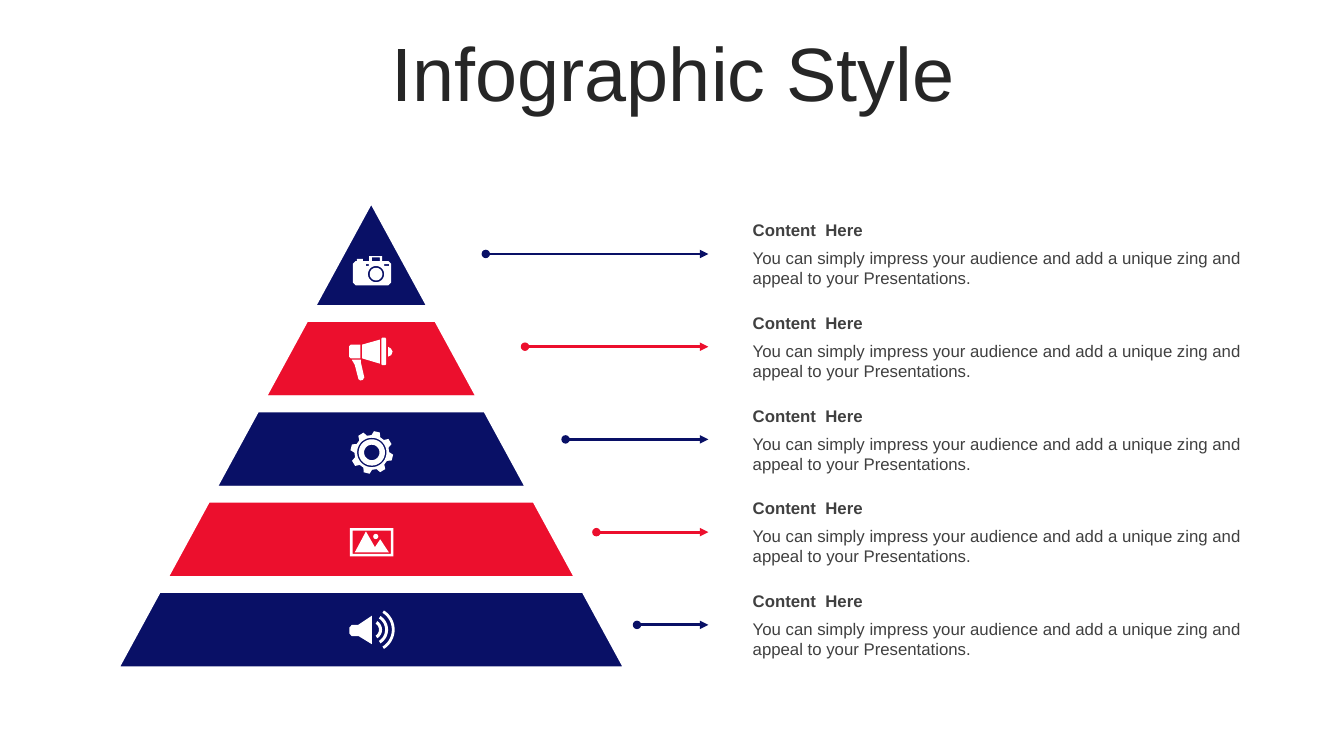
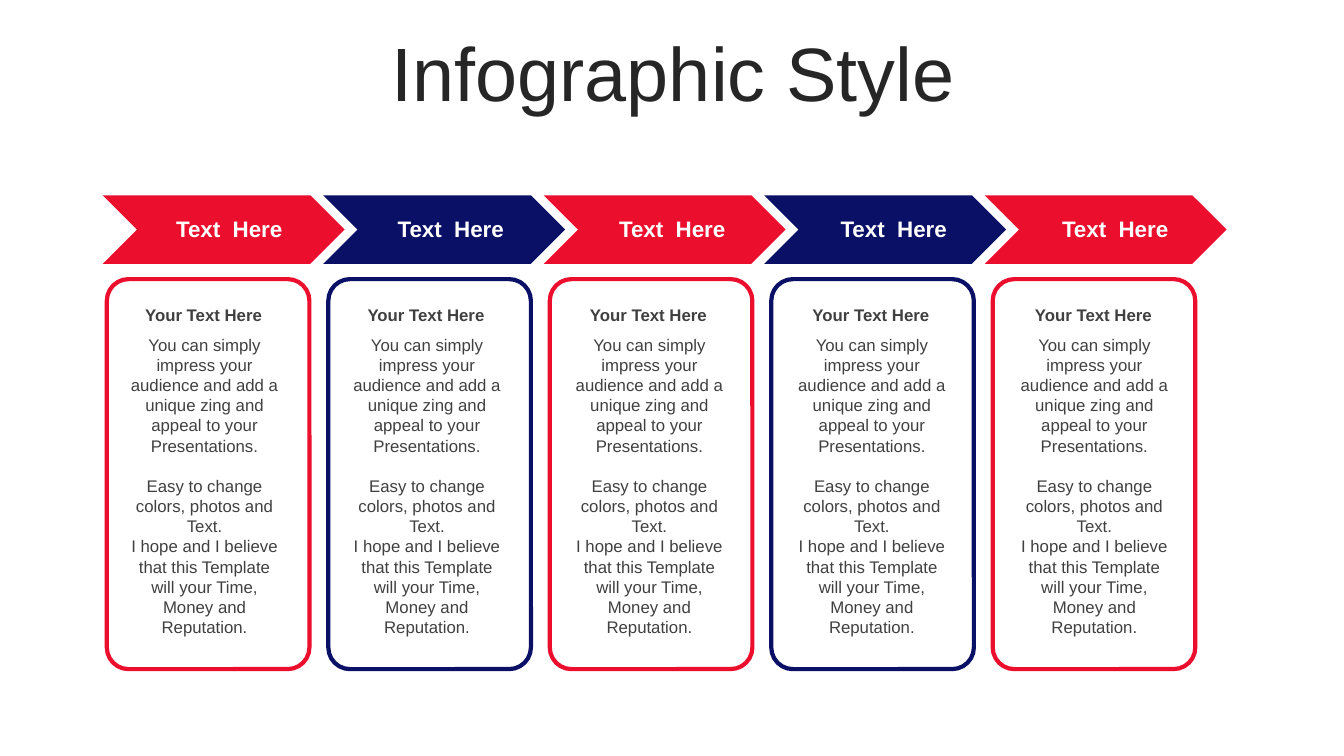
import math

import lxml.etree
import pptx
import pptx.dml.color
import pptx.enum.dml
import pptx.enum.shapes
import pptx.enum.text
import pptx.oxml.ns
import pptx.util

Pt = pptx.util.Pt
rgb = pptx.dml.color.RGBColor.from_string
qn = pptx.oxml.ns.qn
Shape = pptx.enum.shapes.MSO_SHAPE
Align = pptx.enum.text.PP_ALIGN
Anchor = pptx.enum.text.MSO_ANCHOR

FONT = "Arial"
NAVY, RED, WHITE = "091066", "EC0F2D", "FFFFFF"
TITLE_COLOUR, TEXT_COLOUR = "262626", "404040"
PITCH = "You can simply impress your audience and add a unique zing and appeal to your Presentations."


def style(shape, fill, line=None, width=0):
    shape.shadow.inherit = False
    shape.fill.solid()
    shape.fill.fore_color.rgb = rgb(fill)
    if line:
        shape.line.color.rgb = rgb(line)
        shape.line.width = Pt(width)
    else:
        shape.line.fill.background()


def write(page, place, lines, size=12, colour=TEXT_COLOUR, bold=False,
          align=Align.LEFT, anchor=Anchor.TOP):
    """Add a text box; each line is a pair of words and space before."""
    box = page.shapes.add_textbox(*map(Pt, place))
    frame = box.text_frame
    frame.word_wrap = True
    frame.vertical_anchor = anchor
    for index, (words, gap) in enumerate(lines):
        para = frame.paragraphs[0] if index == 0 else frame.add_paragraph()
        para.text = words
        para.alignment = align
        if gap:
            para.space_before = Pt(gap)
        para.font.name = FONT
        para.font.size = Pt(size)
        para.font.bold = bold
        para.font.color.rgb = rgb(colour)


deck = pptx.Presentation()
deck.slide_width, deck.slide_height = Pt(960), Pt(540)

# Pages with the shared title
pages = []
for _ in range(2):
    page = deck.slides.add_slide(deck.slide_layouts[5])
    title = page.shapes.title
    title.left, title.top, title.width, title.height = map(Pt, (25.2, 26.6, 911.5, 56.9))
    frame = title.text_frame
    frame.text = "Infographic Style"
    frame.auto_size = pptx.enum.text.MSO_AUTO_SIZE.NONE
    frame.vertical_anchor = Anchor.MIDDLE
    para = frame.paragraphs[0]
    para.alignment = Align.CENTER
    para.line_spacing = 0.9
    para.font.name = FONT
    para.font.size = Pt(54)
    para.font.color.rgb = rgb(TITLE_COLOUR)
    pages.append(page)
pyramid_page, process_page = pages

# Pyramid tiers, arrows and texts
APEX, CENTRE, SLOPE, TIER = 134, 265.2, 0.544, 64.5
ARROW_STARTS = [347, 375, 404, 426, 455]
for row, arrow_start in enumerate(ARROW_STARTS):
    colour = RED if row % 2 else NAVY
    bottom = APEX + 90 + row * TIER
    height = TIER if row else 90
    width = 2 * SLOPE * (bottom - APEX)
    tier = pyramid_page.shapes.add_shape(
        Shape.TRAPEZOID, Pt(CENTRE - width / 2), Pt(bottom - height), Pt(width), Pt(height))
    tier.adjustments[0] = SLOPE
    style(tier, colour, WHITE, 12)

    offset = row * 66.24
    arrow = pyramid_page.shapes.add_connector(
        pptx.enum.shapes.MSO_CONNECTOR.STRAIGHT,
        Pt(arrow_start), Pt(181.4 + offset), Pt(506), Pt(181.4 + offset))
    arrow.line.color.rgb = rgb(colour)
    arrow.line.width = Pt(2)
    outline = arrow.line._get_or_add_ln()
    lxml.etree.SubElement(outline, qn("a:headEnd"), type="oval")
    lxml.etree.SubElement(outline, qn("a:tailEnd"), type="triangle")
    lxml.etree.SubElement(arrow._element.spPr, qn("a:effectLst"))

    write(pyramid_page, (530.6, 153.4 + offset, 368, 21.6), [("Content  Here", 0)],
          bold=True, anchor=Anchor.MIDDLE)
    write(pyramid_page, (530.6, 173.5 + offset, 368, 36), [(PITCH, 0)])

# Icons: each contour is a list of points, or a circle as (x, y, radius)
camera = [
    [(252, 188.5), (254, 186.5), (255, 186.5), (255, 185), (259.2, 185), (259.2, 186.5),
     (263.7, 186.5), (263.7, 182.9), (273, 182.9), (273, 186.5), (277.4, 186.5),
     (279.4, 188.5), (279.4, 201.8), (277.4, 203.8), (254, 203.8), (252, 201.8)],
    [(265.7, 183.8), (271.4, 183.8), (271.4, 186.5), (265.7, 186.5)],
    [(261.4, 188.6), (263.5, 188.6), (263.5, 190), (261.4, 190)],
    [(274.3, 188.6), (277.9, 188.6), (277.9, 190), (274.3, 190)],
    (268.6, 195.8, 5.8),
    (268.6, 195.8, 4.5),
]
megaphone = [
    [(251.3, 257), (257.8, 257), (257.8, 259), (260.2, 269.5), (259.2, 271.4),
     (257.2, 271.8), (256, 270.7), (253.4, 260.6)],
    [(250.6, 246.2), (257.5, 246.2), (257.5, 256), (250.6, 256), (249.3, 254.8), (249.3, 247.5)],
    [(258.6, 246.2), (271.4, 242.6), (271.4, 259.8), (258.6, 256)],
    [(273, 241.2), (275.2, 241.2), (275.8, 242), (275.8, 260.2), (275.2, 260.8),
     (273, 260.8), (272.4, 260.2), (272.4, 242)],
    [(277.2, 247.8), (279.3, 249), (280.4, 251.2), (279.5, 253.6), (277.2, 254.8)],
]
gear_x, gear_y = 265.6, 323.2
gear = [
    [(gear_x + radius * math.cos(math.radians(45 * tooth - 76 + turn)),
      gear_y + radius * math.sin(math.radians(45 * tooth - 76 + turn)))
     for tooth in range(8)
     for radius, turn in ((12.4, -15), (15.3, -8), (15.3, 8), (12.4, 15))],
    (gear_x, gear_y, 10.5),
    (gear_x, gear_y, 9.4),
    (gear_x, gear_y, 5.5),
]
photo = [
    [(249.9, 377.2), (281, 377.2), (281, 397.4), (249.9, 397.4)],
    [(251.8, 379), (279.2, 379), (279.2, 395.7), (251.8, 395.7)],
    [(253.4, 394.6), (261.4, 379.6), (267.8, 390.8), (271.6, 385.2), (277.8, 394.6)],
    (268.4, 383.2, 1.8),
]
speaker = [
    [(251.3, 446.4), (255.8, 446.4), (265.7, 439.8), (265.7, 460.2), (256.2, 454.4),
     (251.3, 454.4), (249.6, 452.6), (249.6, 448.2)],
] + [
    [(265.7 + radius * math.cos(math.radians(angle)),
      449.8 + radius * math.sin(math.radians(angle)))
     for radius, angles in ((outer, range(-58, 59, 4)), (inner, range(58, -59, -4)))
     for angle in angles]
    for inner, outer in ((5, 7.2), (9.4, 11.5), (14.2, 16.2))
]
for icon in (camera, megaphone, gear, photo, speaker):
    builder = None
    for contour in icon:
        if isinstance(contour, tuple):
            x, y, radius = contour
            contour = [(x + radius * math.cos(math.radians(angle)),
                        y + radius * math.sin(math.radians(angle)))
                       for angle in range(0, 360, 10)]
        points = [(Pt(x), Pt(y)) for x, y in contour]
        if builder is None:
            builder = pyramid_page.shapes.build_freeform(*points[0])
        else:
            builder.move_to(*points[0])
        builder.add_line_segments(points[1:], close=True)
    style(builder.convert_to_shape(), WHITE)

# Process columns: chevron, label and card
card_lines = [
    (PITCH, 0),
    ("Easy to change colors, photos and Text.", 14.4),
    ("I hope and I believe that this Template will your Time, Money and Reputation.", 0),
]
for column in range(5):
    colour = NAVY if column % 2 else RED
    chevron = process_page.shapes.add_shape(
        Shape.CHEVRON, Pt(73.4 + column * 157.5), Pt(139.5), Pt(172.8), Pt(49))
    style(chevron, colour)
    card_offset = column * 158.2
    card = process_page.shapes.add_shape(
        Shape.ROUNDED_RECTANGLE, Pt(76.3 + card_offset), Pt(199.4), Pt(144.7), Pt(278.6))
    card.adjustments[0] = 0.107
    style(card, WHITE, colour, 3)
    write(process_page, (96.5 + card_offset, 150.5, 134.6, 26.6), [("Text  Here", 0)],
          size=16, colour=WHITE, bold=True, align=Align.CENTER)
    text_left = 82.8 + column * 158.9
    write(process_page, (text_left, 213.8, 125.3, 21.6), [("Your Text Here", 0)],
          bold=True, align=Align.CENTER)
    write(process_page, (text_left, 235.4, 126.7, 225.4), card_lines, align=Align.CENTER)

deck.save("out.pptx")
